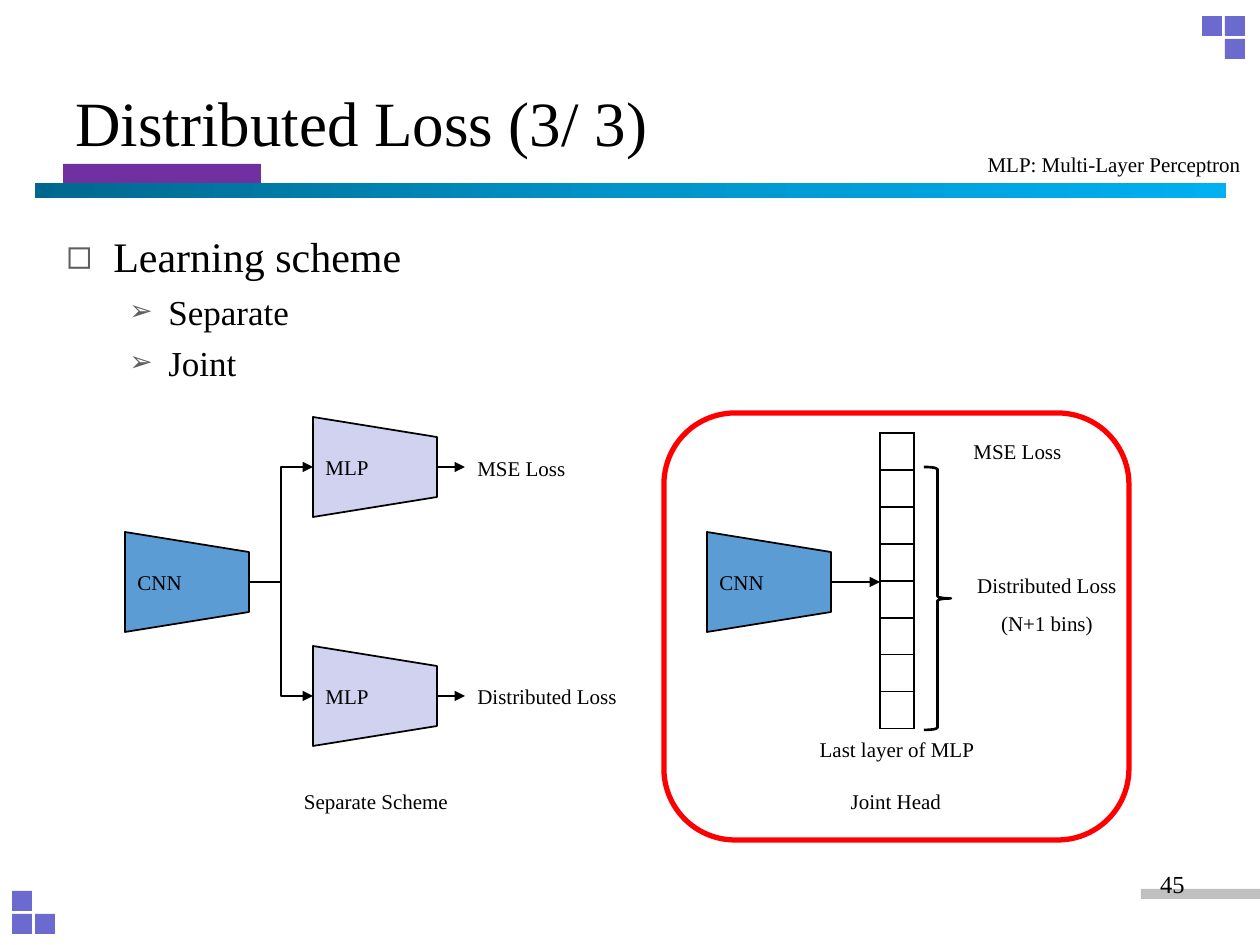
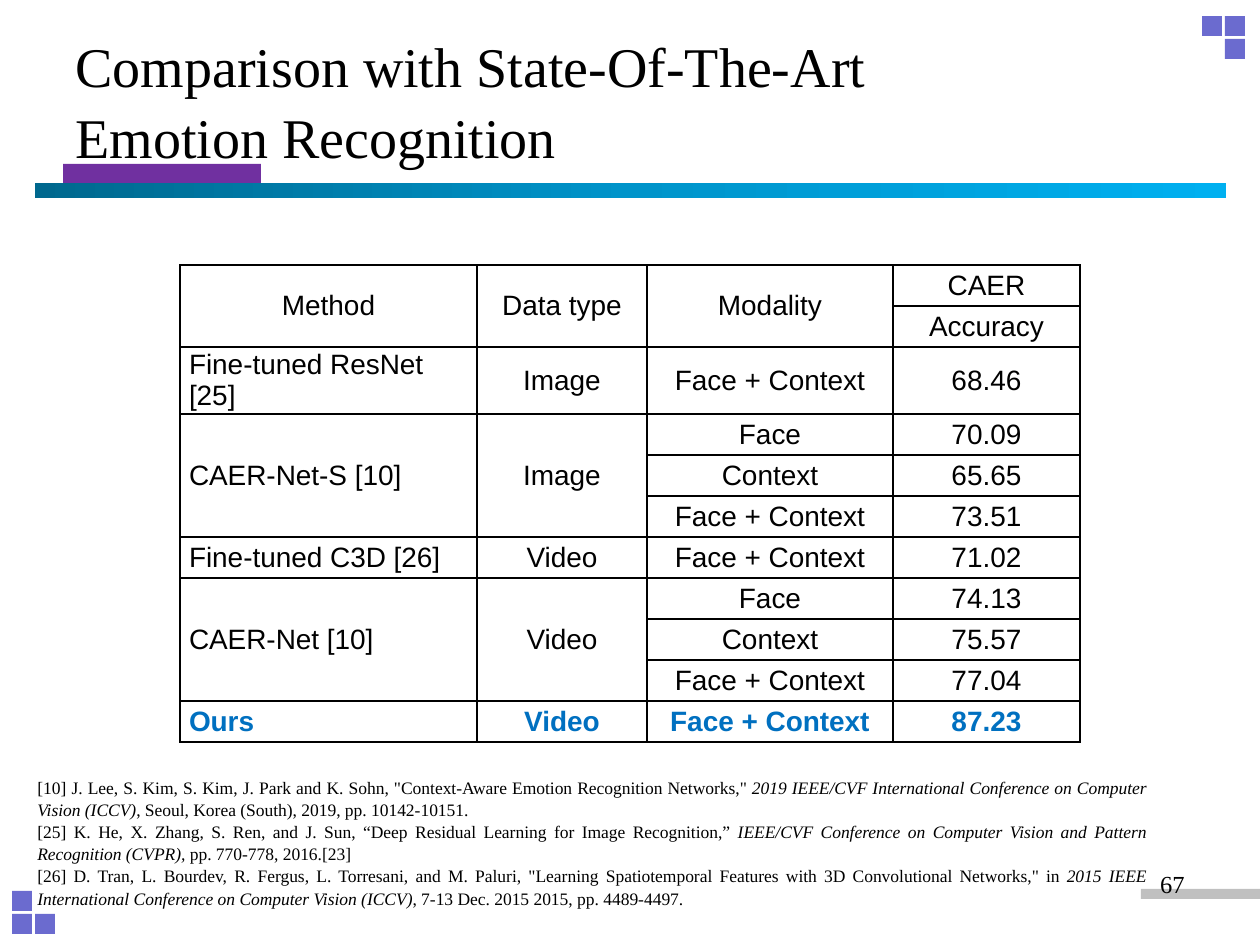
from copy import deepcopy

from lxml import etree
from pptx import Presentation
from pptx.dml.color import RGBColor
from pptx.enum.shapes import MSO_CONNECTOR, MSO_SHAPE
from pptx.enum.text import MSO_ANCHOR, PP_ALIGN
from pptx.oxml.ns import qn
from pptx.util import Emu, Pt

RECT, BRACE, ROUND = MSO_SHAPE.RECTANGLE, MSO_SHAPE.RIGHT_BRACE, MSO_SHAPE.ROUNDED_RECTANGLE
TRAPEZOID = MSO_SHAPE.FLOWCHART_MANUAL_OPERATION
STRAIGHT, ELBOW = MSO_CONNECTOR.STRAIGHT, MSO_CONNECTOR.ELBOW
LEFT, CENTER, RIGHT, JUSTIFY = PP_ALIGN.LEFT, PP_ALIGN.CENTER, PP_ALIGN.RIGHT, PP_ALIGN.JUSTIFY
TOP, MIDDLE = MSO_ANCHOR.TOP, MSO_ANCHOR.MIDDLE

# Shared style
SERIF, SANS = "Times New Roman", "Arial"
BLACK, RED, BLUE, BULLET = "000000", "FF0000", "0070C0", "5F5F5F"
SQUARE, PURPLE, GREY = "6B6BCF", "7030A0", "C0C0C0"
CNN_FILL, MLP_FILL = "5B9CD5", "D1D1F0"
BAND = [(0, "00688E"), (0.5, "0094CA"), (1, "00B0F0")]
CORNER_SQUARES = [(1202, 16), (1225, 16), (1225, 39), (12, 891), (12, 914), (35, 914)]
LINE_SPACING = 1.05

# Slide 1 content
LOSS_TITLE = "Distributed Loss (3/ 3)"
# text, size, bullet, bullet size %, left indent, hanging indent, space before
OUTLINE = [
    ("Learning scheme", 24, "◻", 100, 47, 47, 0),
    ("Separate", 20, "➢", 80, 102, 39, 4),
    ("Joint", 20, "➢", 80, 102, 39, 4),
]
BLOCK_W, BLOCK_H = 124, 100
# text, left, middle, fill
BLOCKS = [
    ("MLP", 313, 467, MLP_FILL),
    ("MLP", 313, 696, MLP_FILL),
    ("CNN", 125, 582, CNN_FILL),
    ("CNN", 707, 582, CNN_FILL),
]
ARROWS = [
    (ELBOW, 249, 582, 313, 467),
    (ELBOW, 249, 582, 313, 696),
    (STRAIGHT, 437, 467, 465, 467),
    (STRAIGHT, 437, 696, 465, 696),
    (STRAIGHT, 831, 582, 880, 582),
]
# text, left, top, width, alignment, line spacing
LABELS = [
    (["MSE Loss"], 465, 449, 192, LEFT, 1),
    (["Distributed Loss"], 465, 677, 192, LEFT, 1),
    (["Last layer of MLP"], 801, 730, 192, CENTER, 1),
    (["MSE Loss"], 961, 432, 192, LEFT, 1),
    (["Distributed Loss", "(N+1 bins)"], 951, 554, 192, CENTER, 1.5),
    (["Separate Scheme"], 257, 782, 238, CENTER, 1),
    (["Joint Head"], 777, 782, 238, CENTER, 1),
    (["MLP: Multi-Layer Perceptron"], 707, 145, 546, RIGHT, 1),
]
LAYER_CELLS = 8

# Slide 2 content
RESULTS_TITLE = "Comparison with State-Of-The-Art\vEmotion Recognition"
# None continues the cell above
RESULTS = [
    ("Method", "Data type", "Modality", "CAER"),
    (None, None, None, "Accuracy"),
    ("Fine-tuned ResNet [25]", "Image", "Face + Context", "68.46"),
    ("CAER-Net-S [10]", "Image", "Face", "70.09"),
    (None, None, "Context", "65.65"),
    (None, None, "Face + Context", "73.51"),
    ("Fine-tuned C3D [26]", "Video", "Face + Context", "71.02"),
    ("CAER-Net [10]", "Video", "Face", "74.13"),
    (None, None, "Context", "75.57"),
    (None, None, "Face + Context", "77.04"),
    ("Ours", "Video", "Face + Context", "87.23"),
]
RESULT_COLS = [297, 170, 246, 187]
RESULT_ROWS = [41, 41, 62] + [41] * 8
# plain, italic, plain
REFERENCES = [
    ('[10] J. Lee, S. Kim, S. Kim, J. Park and K. Sohn, "Context-Aware Emotion Recognition Networks," ',
     "2019 IEEE/CVF International Conference on Computer Vision (ICCV)",
     ", Seoul, Korea (South), 2019, pp. 10142-10151."),
    ("[25] K. He, X. Zhang, S. Ren, and J. Sun, “Deep Residual Learning for Image Recognition,” ",
     "IEEE/CVF Conference on Computer Vision and Pattern Recognition (CVPR), ",
     "pp. 770-778, 2016.[23]"),
    ("[26] D. Tran, L. Bourdev, R. Fergus, L. Torresani, and M. Paluri, "
     '"Learning Spatiotemporal Features with 3D Convolutional Networks," in ',
     "2015 IEEE International Conference on Computer Vision (ICCV)",
     ", 7-13 Dec. 2015 2015, pp. 4489-4497."),
]


def px(n):
    return Emu(round(n * 914400 / 126))


def rgb(color):
    return RGBColor.from_string(color)


def style_runs(p, size, font=SERIF, color=BLACK, bold=False):
    for r in p.runs:
        r.font.size, r.font.name, r.font.bold = Pt(size), font, bold
        r.font.color.rgb = rgb(color)


def add_shape(s, kind, x, y, w, h, fill=None, line=None, weight=1):
    sp = s.shapes.add_shape(kind, px(x), px(y), px(w), px(h))
    sp.shadow.inherit = False
    if fill:
        sp.fill.solid()
        sp.fill.fore_color.rgb = rgb(fill)
    else:
        sp.fill.background()
    if line:
        sp.line.color.rgb = rgb(line)
        sp.line.width = Pt(weight)
    else:
        sp.line.fill.background()
    return sp


def add_text(s, paragraphs, x, y, w, h, size, align=LEFT, spacing=LINE_SPACING, anchor=TOP):
    """A paragraph is a string, or a tuple of runs with every second one italic."""
    tf = s.shapes.add_textbox(px(x), px(y), px(w), px(h)).text_frame
    tf.word_wrap, tf.vertical_anchor = True, anchor
    for i, content in enumerate(paragraphs):
        p = tf.add_paragraph() if i else tf.paragraphs[0]
        p.alignment, p.line_spacing = align, spacing
        if isinstance(content, str):
            p.text = content
        else:
            for j, part in enumerate(content):
                r = p.add_run()
                r.text, r.font.italic = part, j % 2 == 1
        style_runs(p, size)
    return tf


def add_bullet(p, char, percent, left, hanging):
    pPr = p._p.get_or_add_pPr()
    pPr.set("marL", str(px(left)))
    pPr.set("indent", str(-px(hanging)))
    color = etree.SubElement(pPr, qn("a:buClr"))
    etree.SubElement(color, qn("a:srgbClr"), val=BULLET)
    etree.SubElement(pPr, qn("a:buSzPct"), val=str(percent * 1000))
    etree.SubElement(pPr, qn("a:buFont"), typeface=SANS)
    etree.SubElement(pPr, qn("a:buChar"), char=char)


def add_arrow(s, kind, x1, y1, x2, y2):
    c = s.shapes.add_connector(kind, px(x1), px(y1), px(x2), px(y2))
    c.line.color.rgb = rgb(BLACK)
    c.line.width = Pt(1.5)
    etree.SubElement(c.line._get_or_add_ln(), qn("a:tailEnd"), type="triangle")
    etree.SubElement(c._element.spPr, qn("a:effectLst"))


def add_grid(s, x, y, cols, rows):
    """Unfilled table with thin black borders."""
    frame = s.shapes.add_table(len(rows), len(cols), px(x), px(y), px(sum(cols)), px(sum(rows)))
    table = frame.table
    table.first_row = table.horz_banding = False
    for col, width in zip(table.columns, cols):
        col.width = px(width)
    for row, height in zip(table.rows, rows):
        row.height = px(height)
    for cell in table.iter_cells():
        tcPr = cell._tc.get_or_add_tcPr()
        for side in "LRTB":
            ln = etree.SubElement(tcPr, qn(f"a:ln{side}"), w=str(Pt(1)))
            fill = etree.SubElement(ln, qn("a:solidFill"))
            etree.SubElement(fill, qn("a:srgbClr"), val=BLACK)
        cell.fill.background()
        cell.margin_left = cell.margin_right = px(9)
        cell.margin_top = cell.margin_bottom = 0
        cell.vertical_anchor = MIDDLE
    return table


def add_base(prs, title, title_top, title_size, number):
    """New slide with corner squares, bands, title and page number."""
    s = prs.slides.add_slide(prs.slide_layouts[6])
    add_shape(s, RECT, 1141, 889, 119, 10, GREY)
    for x, y in CORNER_SQUARES:
        add_shape(s, RECT, x, y, 20, 20, SQUARE)
    add_shape(s, RECT, 63, 164, 198, 20, PURPLE)
    band = add_shape(s, RECT, 35, 183, 1191, 15)
    band.fill.gradient()
    band.fill.gradient_angle = 0
    first = band.fill.gradient_stops[0]._gs
    first.addnext(deepcopy(first))
    for stop, (position, color) in zip(band.fill.gradient_stops, BAND):
        stop.position, stop.color.rgb = position, rgb(color)
    add_text(s, [title], 63, title_top, 1134, 158, title_size, anchor=MIDDLE)
    add_text(s, [str(number)], 903, 861, 294, 66, 14, RIGHT)
    return s


def build_loss_slide(prs):
    s = add_base(prs, LOSS_TITLE, 40, 36, 45)

    # Outline
    tf = add_text(s, [item[0] for item in OUTLINE], 54, 222, 1134, 180, 24, JUSTIFY)
    for p, (_, size, char, percent, left, hanging, before) in zip(tf.paragraphs, OUTLINE):
        p.space_before = Pt(before)
        add_bullet(p, char, percent, left, hanging)
        style_runs(p, size)

    # Network blocks, turned so that the wide side faces left
    for text, left, middle, fill in BLOCKS:
        x = left + (BLOCK_W - BLOCK_H) / 2
        sp = add_shape(s, TRAPEZOID, x, middle - BLOCK_W / 2, BLOCK_H, BLOCK_W, fill, BLACK)
        sp.rotation = 270
        tf = sp.text_frame
        tf.text = text
        tf.vertical_anchor = MIDDLE
        tf._txBody.bodyPr.set("vert", "eaVert")
        tf.paragraphs[0].alignment = CENTER
        style_runs(tf.paragraphs[0], 12)
    for arrow in ARROWS:
        add_arrow(s, *arrow)

    # Last layer with its brace
    layer = add_grid(s, 880, 433, [34], [37] * LAYER_CELLS)
    for cell in layer.iter_cells():
        etree.SubElement(cell.text_frame.paragraphs[0]._p, qn("a:endParaRPr"), sz="1200")
    add_shape(s, BRACE, 924, 467, 27, 263, line=BLACK, weight=1.5)

    for lines, x, y, w, align, spacing in LABELS:
        add_text(s, lines, x, y, w, 38 * len(lines), 12, align, spacing)
    add_shape(s, ROUND, 664, 413, 465, 427, line=RED, weight=3)


def build_results_slide(prs):
    s = add_base(prs, RESULTS_TITLE, 20, 32, 67)
    table = add_grid(s, 180, 265, RESULT_COLS, RESULT_ROWS)
    last = len(RESULTS) - 1
    for i, row in enumerate(RESULTS):
        for j, text in enumerate(row):
            if text is None:
                continue
            end = i
            while end < last and RESULTS[end + 1][j] is None:
                end += 1
            cell = table.cell(i, j)
            if end > i:
                cell.merge(table.cell(end, j))
            p = cell.text_frame.paragraphs[0]
            p.text = text
            p.alignment = CENTER if j or i == 0 else LEFT
            style_runs(p, 16, SANS, BLUE if i == last else BLACK, i == last)
    add_text(s, REFERENCES, 25, 770, 1134, 140, 10, JUSTIFY)


def main():
    prs = Presentation()
    prs.slide_width, prs.slide_height = px(1260), px(945)
    build_loss_slide(prs)
    build_results_slide(prs)
    prs.save("out.pptx")


if __name__ == "__main__":
    main()
